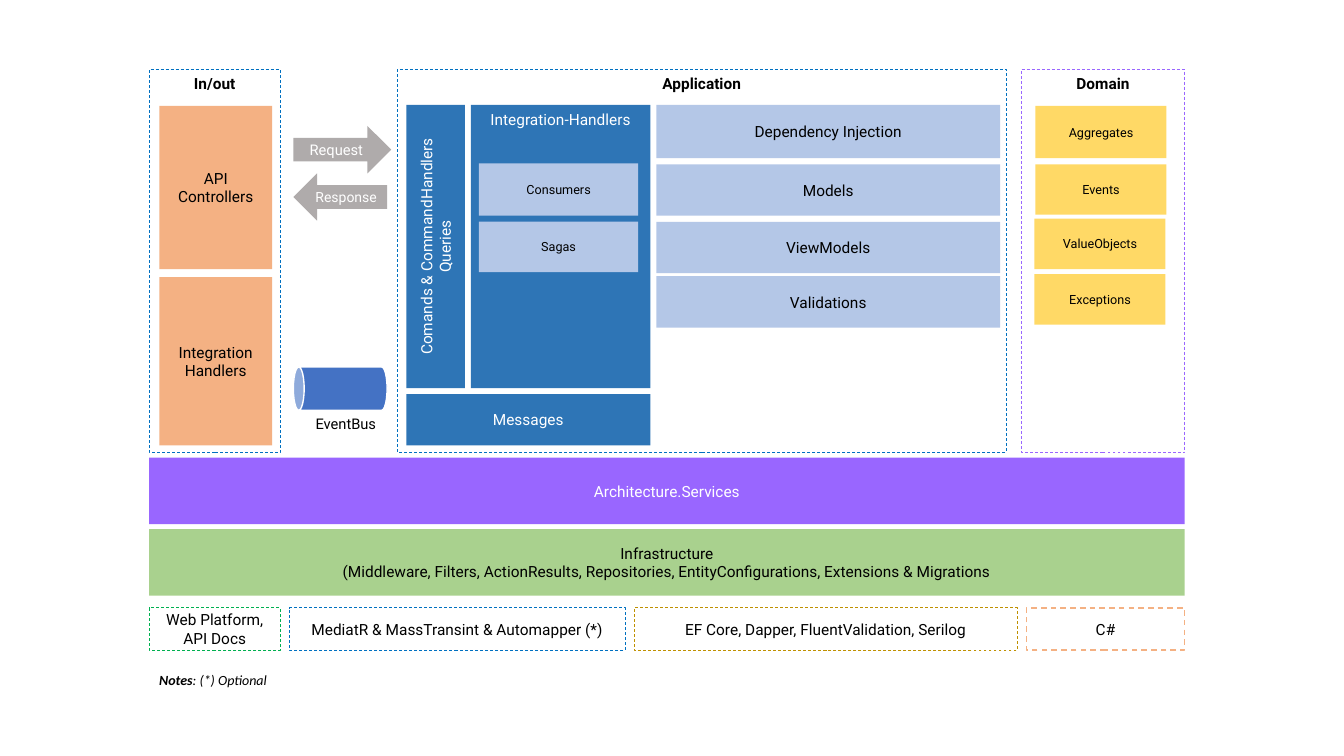
from dataclasses import dataclass
from typing import Optional

from pptx import Presentation
from pptx.dml.color import RGBColor
from pptx.enum.dml import MSO_LINE
from pptx.enum.shapes import MSO_SHAPE
from pptx.enum.text import MSO_ANCHOR, MSO_AUTO_SIZE, PP_ALIGN
from pptx.util import Inches, Pt

BLACK = RGBColor(0x00, 0x00, 0x00)
WHITE = RGBColor(0xFF, 0xFF, 0xFF)
ORANGE = RGBColor(0xF4, 0xB1, 0x83)
BLUE = RGBColor(0x2E, 0x75, 0xB6)
PALE_BLUE = RGBColor(0xB4, 0xC7, 0xE7)
BUS_BLUE = RGBColor(0x44, 0x72, 0xC4)
LINE_BLUE = RGBColor(0x00, 0x70, 0xC0)
LINE_GREEN = RGBColor(0x00, 0xB0, 0x50)
LINE_GOLD = RGBColor(0xBF, 0x90, 0x00)
YELLOW = RGBColor(0xFF, 0xD9, 0x66)
GRAY = RGBColor(0xAF, 0xAB, 0xAB)
PURPLE = RGBColor(0x99, 0x66, 0xFF)
GREEN = RGBColor(0xA9, 0xD1, 0x8E)

LEFT, FULL_WIDTH = 1.48, 10.27


@dataclass
class Box:
    text: str
    x: float
    y: float
    w: float
    h: float
    fill: Optional[RGBColor] = None
    line: Optional[RGBColor] = None
    line_width: float = 0.5
    dashed: bool = True
    color: RGBColor = BLACK
    size: float = 11
    bold: bool = False
    top: bool = False
    vertical: bool = False
    kind: MSO_SHAPE = MSO_SHAPE.RECTANGLE
    rotation: float = 0


def write_text(p, text: str, *, size: float = 11, color: RGBColor = BLACK,
               font: str = "Roboto", bold: bool = False, italic: bool = False,
               align: PP_ALIGN = PP_ALIGN.CENTER) -> None:
    p.alignment = align
    r = p.add_run()
    r.text = text
    f = r.font
    f.name, f.size, f.bold, f.italic = font, Pt(size), bold, italic
    f.color.rgb = color


def draw_box(s, box: Box) -> None:
    sp = s.shapes.add_shape(box.kind, Inches(box.x), Inches(box.y),
                            Inches(box.w), Inches(box.h))
    sp.shadow.inherit = False
    sp.rotation = box.rotation
    if box.fill is None:
        sp.fill.background()
    else:
        sp.fill.solid()
        sp.fill.fore_color.rgb = box.fill
    if box.line is None:
        sp.line.fill.background()
    else:
        sp.line.color.rgb = box.line
        sp.line.width = Pt(box.line_width)
        if box.dashed:
            sp.line.dash_style = MSO_LINE.DASH
    if not box.text:
        return
    tf = sp.text_frame
    tf.word_wrap = True
    tf.vertical_anchor = MSO_ANCHOR.TOP if box.top else MSO_ANCHOR.MIDDLE
    if box.vertical:
        tf._txBody.bodyPr.set("vert", "vert270")
    for i, line in enumerate(box.text.split("\n")):
        p = tf.add_paragraph() if i else tf.paragraphs[0]
        write_text(p, line, size=box.size, color=box.color, bold=box.bold)


def add_label(s, x: float, y: float, w: float, h: float):
    tf = s.shapes.add_textbox(Inches(x), Inches(y), Inches(w), Inches(h)).text_frame
    tf.word_wrap = False
    tf.auto_size = MSO_AUTO_SIZE.SHAPE_TO_FIT_TEXT
    return tf.paragraphs[0]


# Dashed panels with a heading
PANELS = [
    Box(name, x, 0.69, w, 3.8, line=line, bold=True, top=True)
    for name, x, w, line in [
        ("In/out", LEFT, 1.3, LINE_BLUE),
        ("Application", 3.94, 6.04, LINE_BLUE),
        ("Domain", 10.13, 1.62, PURPLE),
    ]
]

# In/out panel, arrows and event bus
IN_OUT = [
    Box("API\nControllers", 1.58, 1.05, 1.12, 1.62, ORANGE),
    Box("Integration Handlers", 1.58, 2.75, 1.12, 1.67, ORANGE),
    Box("Request", 2.91, 1.25, 0.97, 0.47, GRAY, color=WHITE, size=10.5,
        kind=MSO_SHAPE.RIGHT_ARROW),
    Box("Response", 2.91, 1.72, 0.93, 0.47, GRAY, color=WHITE, size=10,
        kind=MSO_SHAPE.LEFT_ARROW),
    Box("", 3.16, 3.39, 0.43, 0.93, BUS_BLUE, line=WHITE, line_width=1,
        dashed=False, kind=MSO_SHAPE.CAN, rotation=270),
]

# Application panel
APPLICATION = [
    Box("Comands & CommandHandlers\nQueries", 4.03, 1.04, 0.58, 2.81, BLUE,
        color=WHITE, vertical=True),
    Box("Integration-Handlers", 4.67, 1.04, 1.78, 2.81, BLUE, color=WHITE, top=True),
    Box("Consumers", 4.75, 1.62, 1.58, 0.52, PALE_BLUE, size=9),
    Box("Sagas", 4.75, 2.2, 1.58, 0.5, PALE_BLUE, size=9),
    Box("Messages", 4.03, 3.91, 2.42, 0.51, BLUE, color=WHITE),
] + [
    Box(name, 6.51, y, 3.41, h, PALE_BLUE)
    for name, y, h in [
        ("Dependency Injection", 1.04, 0.53),
        ("Models", 1.63, 0.51),
        ("ViewModels", 2.2, 0.51),
        ("Validations", 2.74, 0.51),
    ]
]

# Domain panel
DOMAIN = [
    Box(name, x, y, 1.3, h, YELLOW, size=9)
    for name, x, y, h in [
        ("Aggregates", 10.27, 1.05, 0.52),
        ("Events", 10.27, 1.63, 0.5),
        ("ValueObjects", 10.26, 2.17, 0.5),
        ("Exceptions", 10.26, 2.72, 0.5),
    ]
]

# Full-width layers
LAYERS = [
    Box("Architecture.Services", LEFT, 4.54, FULL_WIDTH, 0.66, PURPLE, color=WHITE),
    Box("Infrastructure\n(Middleware, Filters, ActionResults, Repositories, "
        "EntityConfigurations, Extensions & Migrations",
        LEFT, 5.25, FULL_WIDTH, 0.66, GREEN),
]

# Technology row
TECHNOLOGIES = [
    Box(name, x, 6.03, w, 0.42, line=line, line_width=line_width)
    for name, x, w, line, line_width in [
        ("Web Platform, API Docs", LEFT, 1.3, LINE_GREEN, 0.5),
        ("MediatR & MassTransint & Automapper (*)", 2.87, 3.33, LINE_BLUE, 0.5),
        ("EF Core, Dapper, FluentValidation, Serilog", 6.29, 3.8, LINE_GOLD, 0.5),
        ("C#", 10.18, 1.57, ORANGE, 1),
    ]
]


def main() -> None:
    prs = Presentation()
    prs.slide_width, prs.slide_height = Inches(13.33), Inches(7.5)
    s = prs.slides.add_slide(prs.slide_layouts[6])

    for box in PANELS + IN_OUT + APPLICATION + DOMAIN + LAYERS + TECHNOLOGIES:
        draw_box(s, box)

    # Labels without a box
    write_text(add_label(s, 3.02, 4.07, 0.82, 0.29), "EventBus", size=10.5)
    notes = add_label(s, LEFT, 6.61, 1.29, 0.27)
    for text, bold in [("Notes", True), (": (*) Optional", False)]:
        write_text(notes, text, size=10, font="Calibri", bold=bold, italic=True,
                   align=PP_ALIGN.LEFT)

    prs.save("out.pptx")


if __name__ == "__main__":
    main()
